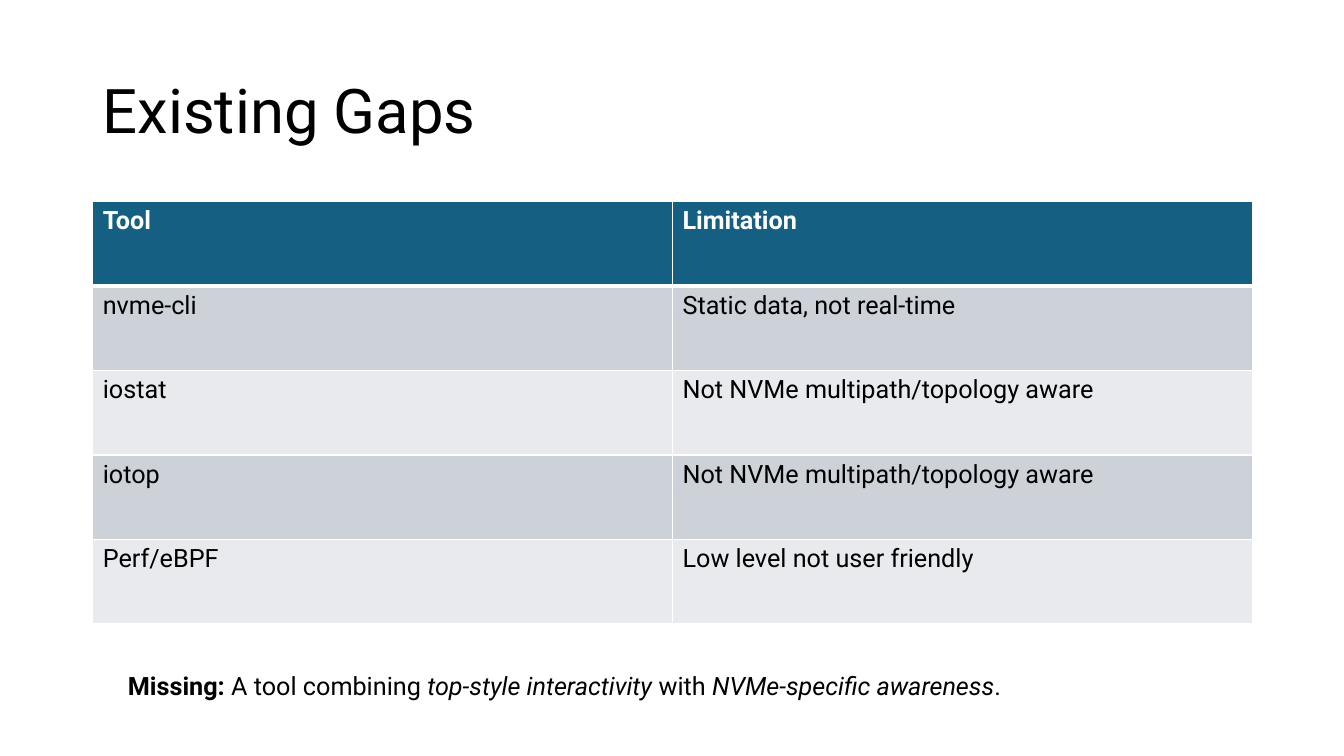
from pptx import Presentation
from pptx.dml.color import RGBColor
from pptx.enum.text import MSO_ANCHOR as Anchor, MSO_AUTO_SIZE as Fit
from pptx.oxml import parse_xml
from pptx.oxml.ns import nsdecls
from pptx.util import Inches, Pt

BLACK, WHITE, TEAL = "000000", "FFFFFF", "156082"
BANDS = ["CCD2D8", "E8EAED"]


def color(code):
    return RGBColor.from_string(code)


class Deck:
    """Holds the style and the current slide."""

    font = "Roboto"

    def __init__(self, wide, high):
        self.file = Presentation()
        self.file.slide_width = Inches(wide)
        self.file.slide_height = Inches(high)
        self.slide = self.file.slides.add_slide(self.file.slide_layouts[6])

    def words(self, para, text, size, ink=BLACK, **style):
        run = para.add_run()
        run.text = text
        for key, value in {"name": self.font, "size": Pt(size), **style}.items():
            setattr(run.font, key, value)
        run.font.color.rgb = color(ink)

    def label(self, area, runs, size, **frame):
        box = self.slide.shapes.add_textbox(*map(Inches, area))
        body = box.text_frame
        for key, value in {"word_wrap": True, **frame}.items():
            setattr(body, key, value)
        para = body.paragraphs[0]
        for text, style in runs:
            self.words(para, text, size, **style)
        return para

    def edge(self, cell, side, width):
        cell._tc.get_or_add_tcPr().append(parse_xml(
            f'<a:ln{side} {nsdecls("a")} w="{Pt(width)}"><a:solidFill>'
            f'<a:srgbClr val="{WHITE}"/></a:solidFill></a:ln{side}>'))

    def table(self, area, rows, size):
        frame = self.slide.shapes.add_table(
            len(rows), len(rows[0]), *map(Inches, area))
        for r, row in enumerate(rows):
            head = r == 0
            # The rule under the header is thicker
            widths = {"L": 1, "R": 1, "T": 3 if r == 1 else 1, "B": 3 if head else 1}
            for c, text in enumerate(row):
                cell = frame.table.cell(r, c)
                for side, width in widths.items():
                    self.edge(cell, side, width)
                cell.fill.solid()
                cell.fill.fore_color.rgb = color(TEAL if head else BANDS[(r - 1) % 2])
                self.words(cell.text_frame.paragraphs[0], text, size,
                           WHITE if head else BLACK, bold=head)


def main():
    deck = Deck(13.33, 7.5)

    # Title
    title = deck.label((0.92, 0.4, 11.5, 1.45), [("Existing Gaps", {})], 44,
                       vertical_anchor=Anchor.MIDDLE)
    title.line_spacing = 0.9

    # Tools and their limits
    deck.table((0.92, 2, 11.5, 4.19), [
        ("Tool", "Limitation"),
        ("nvme-cli", "Static data, not real-time"),
        ("iostat", "Not NVMe multipath/topology aware"),
        ("iotop", "Not NVMe multipath/topology aware"),
        ("Perf/eBPF", "Low level not user friendly"),
    ], 18)

    # Closing line
    deck.label((1.17, 6.6, 11.19, 0.71), [
        ("Missing:", {"bold": True}),
        (" A tool combining ", {}),
        ("top-style interactivity", {"italic": True}),
        (" with ", {}),
        ("NVMe-specific awareness", {"italic": True}),
        (".", {}),
    ], 18, auto_size=Fit.SHAPE_TO_FIT_TEXT)

    deck.file.save("out.pptx")


if __name__ == "__main__":
    main()
